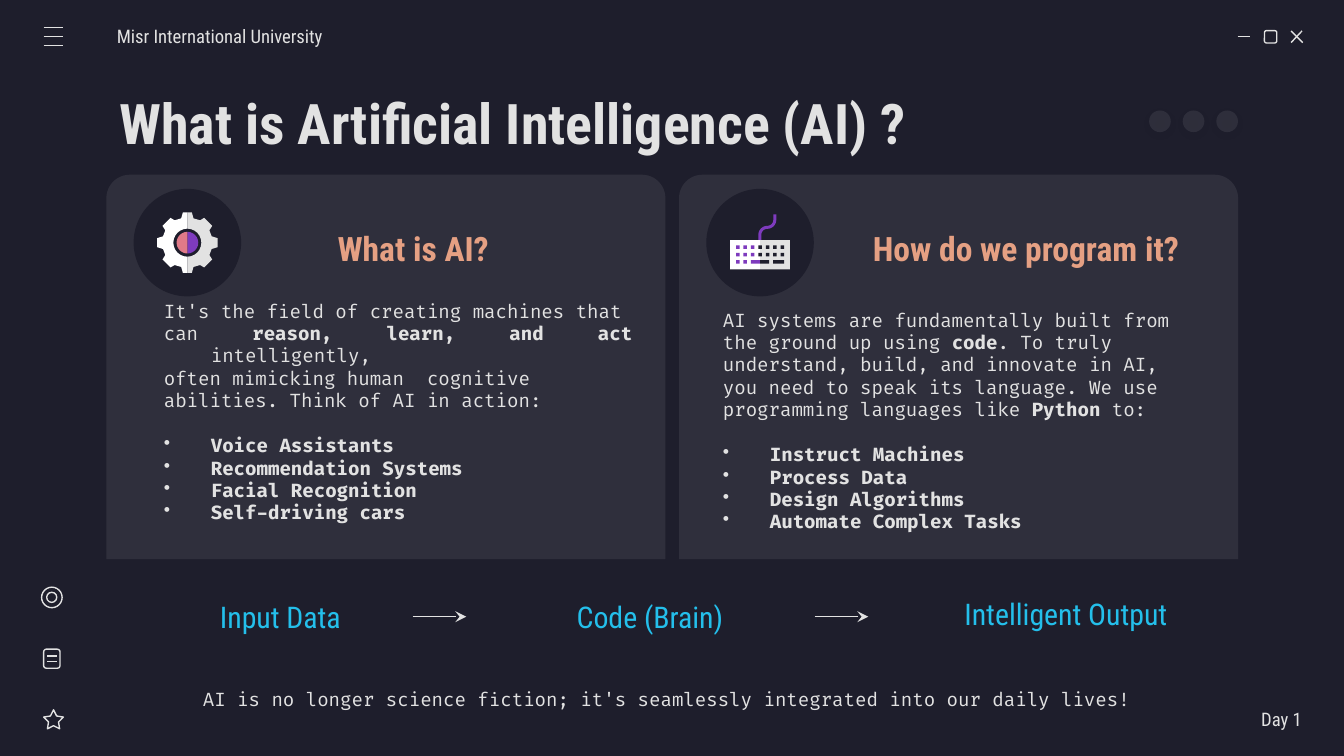
from math import cos, sin, radians
from lxml.etree import SubElement as Sub
from pptx import Presentation
from pptx.dml.color import RGBColor
from pptx.enum.shapes import MSO_CONNECTOR as Link, MSO_SHAPE as Kind
from pptx.enum.text import MSO_ANCHOR as Anchor, PP_ALIGN as Align
from pptx.oxml.ns import qn
from pptx.util import Pt

DARK, PALE, WHITE = "1E1E2C", "E2E2E2", "FFFFFF"
PLUM, ROSE, PEACH, SKY = "7E3BBE", "E07A88", "E5A083", "24BFEB"
SANS, CODE = "Roboto Condensed", "Fira Code"


def tint(color, hue):
    """Give a colour format a hex colour."""
    color.rgb = RGBColor.from_string(hue)


def style(item, fill=None, line=None, width=0.75, alpha=None):
    """Set the fill and outline of a shape, with no shadow."""
    item.shadow.inherit = False
    if fill:
        item.fill.solid()
        tint(item.fill.fore_color, fill)
    else:
        item.fill.background()
    if alpha:
        node = item.fill._xPr.find(qn("a:solidFill"))[0]
        Sub(node, qn("a:alpha"), val=str(alpha * 1000))
    if line:
        tint(item.line.color, line)
        item.line.width = Pt(width)
    else:
        item.line.fill.background()
    return item


def shape(slide, kind, box, **look):
    """Add a styled preset shape."""
    return style(slide.shapes.add_shape(kind, *map(Pt, box)), **look)


def rule(slide, x1, y1, x2, y2, head=False):
    """Add a thin line, with an arrowhead on request."""
    line = slide.shapes.add_connector(Link.STRAIGHT, *map(Pt, (x1, y1, x2, y2)))
    tint(line.line.color, PALE)
    line.line.width = Pt(0.75)
    if head:
        Sub(line.line._get_or_add_ln(), qn("a:tailEnd"), type="stealth")
    Sub(line._element.spPr, qn("a:effectLst"))


def outline(slide, x, y, dots, close=True, **look):
    """Draw a path through points placed around (x, y)."""
    (a, b), *rest = [(Pt(x + p), Pt(y + q)) for p, q in dots]
    path = slide.shapes.build_freeform(a, b)
    path.add_line_segments(rest, close=close)
    return style(path.convert_to_shape(), **look)


def arc(x, y, r, start, end, steps=12):
    """Return points along an arc, with angles in degrees."""
    turns = [radians(start + (end - start) * i / steps) for i in range(steps + 1)]
    return [(x + r * cos(t), y + r * sin(t)) for t in turns]


def label(slide, box, lines, size, hue, font=SANS, align=Align.LEFT, bold=None,
          left=7.2, right=7.2, low=7.2):
    """Add a text box and return its paragraphs; a line is a list of (text, bold)."""
    frame = slide.shapes.add_textbox(*map(Pt, box)).text_frame
    frame.word_wrap = True
    frame.vertical_anchor = Anchor.MIDDLE
    frame.margin_left, frame.margin_right = Pt(left), Pt(right)
    frame.margin_top, frame.margin_bottom = Pt(7.2), Pt(low)
    for i, line in enumerate(lines):
        para = frame.paragraphs[0] if i == 0 else frame.add_paragraph()
        para.alignment = align
        para.font.name, para.font.size, para.font.bold = font, Pt(size), bold
        tint(para.font.color, hue)
        for text, heavy in line:
            run = para.add_run()
            run.text = text
            if heavy:
                run.font.bold = True
    return frame.paragraphs


def body(slide, box, lines, points, low=7.2):
    """Add hanging prose lines followed by a bold bullet list."""
    rows = lines + [[(point, True)] for point in points]
    paras = label(slide, box, rows, 10, PALE, CODE, Align.JUSTIFY, low=low)
    for i, para in enumerate(paras):
        props = para._p.get_or_add_pPr()
        props.set("marL", str(Pt(36)))
        props.set("indent", str(Pt(-25.2)))
        if i >= len(lines):
            last = props.find(qn("a:defRPr"))
            color = Sub(props, qn("a:buClr"))
            Sub(color, qn("a:srgbClr"), val=PALE)
            mark = Sub(props, qn("a:buChar"), char="•")
            last.addprevious(color)
            last.addprevious(mark)
        if i == len(lines):
            para.space_before = Pt(12)


def gear(slide, x, y):
    """Draw a two-tone gear centred on (x, y)."""
    rim = [(0, -16.2), (2.4, -16.2), (3.3, -13), (6.8, -12), (9, -13.3),
           (13.3, -9), (11.8, -6.6), (13, -3.4), (16.2, -2.4)]
    half = rim + [(a, -b) for a, b in reversed(rim)] + arc(0, 0, 7.5, 90, -90)
    core = arc(0, 0, 5.8, -90, 90)
    for side, rind, heart in ((1, PALE, PLUM), (-1, WHITE, ROSE)):
        for dots, hue in ((half, rind), (core, heart)):
            outline(slide, x, y, [(side * a, b) for a, b in dots], fill=hue)


def keyboard(slide, x, y):
    """Draw a keyboard with its cord around (x, y)."""
    cord = [(7.9, -15.1)] + arc(3.9, -12.2, 4, 0, 90) + arc(3.9, -4.2, 4, 270, 180)
    outline(slide, x, y, cord + [(-0.1, 0)], close=False, line=PLUM, width=1.6)
    for left, hue in ((-16, WHITE), (0, PALE)):
        shape(slide, Kind.RECTANGLE, (x + left, y - 1.4, 16, 15.8), fill=hue)
    cols = [-12.9 + 3.98 * i for i in range(7)]
    keys = [(a, b, 1.9) for b in (1.5, 5.4) for a in cols]
    keys += [(a, 9.4, 1.9) for a in cols[:2]]
    keys += [(cols[2], 9.4, 4.94), (0, 9.4, 4.92), (cols[5], 9.4, 5.88)]
    for a, b, w in keys:
        hue = PLUM if a < -2 else DARK
        shape(slide, Kind.RECTANGLE, (x + a, y + b, w, 1.9), fill=hue)


def card(slide, x, y, icon, title, head, prose):
    """Draw one card: panel, icon badge, heading and text."""
    panel = shape(slide, Kind.ROUND_2_SAME_RECTANGLE, (x, y, 299.5, 206),
                  fill=WHITE, alpha=8)
    panel.adjustments[0] = 0.061
    shape(slide, Kind.OVAL, (x + 14.6, y + 7.6, 57.6, 57.6), fill=DARK)
    icon(slide, x + 43.4, y + 36.4)
    dx, width = head
    label(slide, (x + dx, y + 21, width, 36.7), [[(title, True)]], 18, PEACH,
          align=Align.CENTER)
    (dx, dy, high), *rest = prose
    body(slide, (x + dx, y + dy, 275.8, high), *rest)


def chrome(slide):
    """Draw the menu, window buttons, side icons and corner labels."""
    for i in range(3):
        rule(slide, 23.4, 14.8 + 4.8 * i, 34, 14.8 + 4.8 * i)
    rule(slide, 663, 19.6, 669.6, 19.6)
    rule(slide, 691.7, 16.6, 697.9, 22.8)
    rule(slide, 697.5, 16.6, 691.7, 22.8)
    for kind, box in ((Kind.ROUNDED_RECTANGLE, (677.4, 16.4, 6.6, 6.6)),
                      (Kind.OVAL, (22.3, 314.6, 11, 11)),
                      (Kind.OVAL, (25, 317.3, 5.4, 5.4)),
                      (Kind.ROUNDED_RECTANGLE, (23.4, 347.8, 8.8, 10.2))):
        shape(slide, kind, box, line=PALE)
    for y in (351.4, 354.4):
        rule(slide, 25.2, y, 30.4, y)
    star = shape(slide, Kind.STAR_5_POINT, (23.4, 380.3, 10.6, 10.2), line=PALE)
    star.adjustments[0] = 0.254
    for i in range(3):
        dot = shape(slide, Kind.OVAL, (615.6 + 18 * i, 59.2, 11.6, 11.6),
                    fill=WHITE, alpha=8)
        glow = Sub(dot._element.spPr.find(qn("a:effectLst")), qn("a:outerShdw"),
                   blurRad=str(Pt(4.5)), dist=str(Pt(1.5)), dir="5400000")
        Sub(Sub(glow, qn("a:srgbClr"), val="000000"), qn("a:alpha"), val="30000")
    label(slide, (62.6, 8.6, 146, 21.6), [[("Misr International University", False)]],
          10, PALE, left=0)
    label(slide, (613.4, 374.6, 84, 21.6), [[("Day 1", False)]], 10, PALE,
          align=Align.RIGHT, right=0)


def flow(slide, y):
    """Draw the three steps joined by arrows, below y."""
    for text, x, dy, width in (("Input Data", 97.2, 1.4, 106),
                               ("Code (Brain)", 295.2, 1.2, 106),
                               ("Intelligent Output", 491.8, 0, 158.4)):
        label(slide, (x, y + dy, width, 28.8), [[(text, False)]], 16, SKY,
              align=Align.CENTER)
    for x in (221, 436.4):
        rule(slide, x, y + 15.8, x + 28.8, y + 15.8, head=True)


def build():
    """Build the slide and save it."""
    deck = Presentation()
    deck.slide_width, deck.slide_height = Pt(720), Pt(405)
    slide = deck.slides.add_slide(deck.slide_layouts[6])
    slide.background.fill.solid()
    tint(slide.background.fill.fore_color, DARK)
    chrome(slide)
    label(slide, (56.9, 42.5, 607, 45.4),
          [[("What is Artificial Intelligence (AI) ?", True)]], 30, PALE)
    card(slide, 57, 93.6, gear, "What is AI?", (27.2, 274.3), (
        (12.9, 38.9, 187.9),
        [[("It's the field of creating machines that", False)],
         [("can ", False), ("reason, learn, and act ", True), ("intelligently, ", False)],
         [("often mimicking human  cognitive ", False)],
         [("abilities. Think of AI in action:", False)]],
        ["Voice Assistants", "Recommendation Systems", "Facial Recognition",
         "Self-driving cars"], 19.2))
    card(slide, 363.8, 93.6, keyboard, "How do we program it?", (71.8, 228.2), (
        (5.6, 59, 145.4),
        [[("AI systems are fundamentally built from ", False)],
         [("the ground up using ", False), ("code", True), (". To truly ", False)],
         [("understand, build, and innovate in AI, ", False)],
         [("you need to speak its language. We use ", False)],
         [("programming languages like ", False), ("Python", True), (" to:", False)]],
        ["Instruct Machines", "Process Data", "Design Algorithms",
         "Automate Complex Tasks"]))
    flow(slide, 314.6)
    label(slide, (90.7, 365, 542.9, 19.4),
          [[("AI is no longer science fiction; it's seamlessly integrated into our "
             "daily lives!", False)]], 10, PALE, CODE, Align.JUSTIFY, left=18)
    deck.save("out.pptx")


if __name__ == "__main__":
    build()
